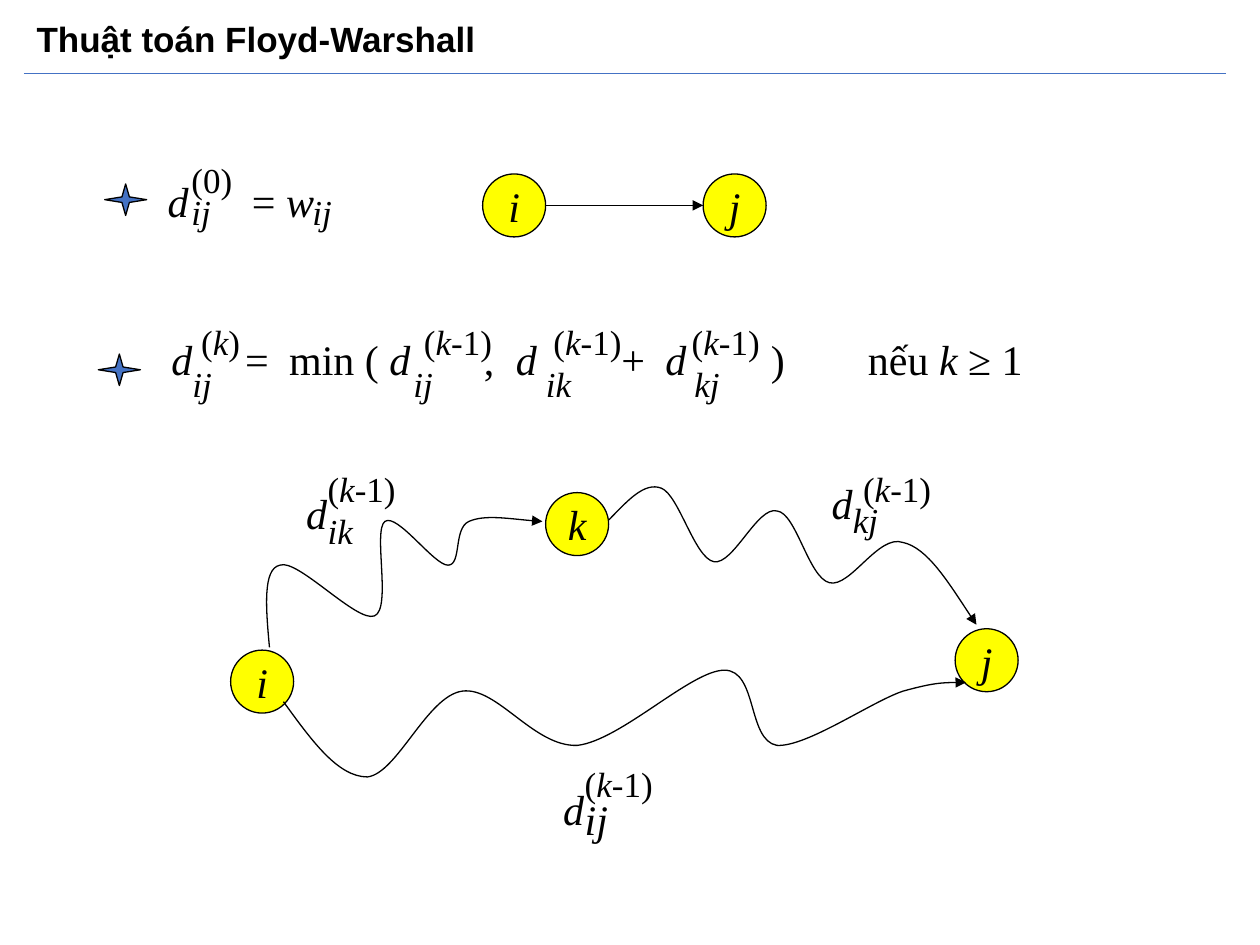
from pptx import Presentation
from pptx.dml.color import RGBColor
from pptx.enum.shapes import MSO_CONNECTOR, MSO_SHAPE
from pptx.enum.text import MSO_ANCHOR, PP_ALIGN
from pptx.oxml.ns import qn
from pptx.util import Pt
from lxml.etree import SubElement

BLACK = RGBColor(0x00, 0x00, 0x00)
YELLOW = RGBColor(0xFF, 0xFF, 0x00)
BLUE = RGBColor(0x44, 0x72, 0xC4)
SERIF = "Times New Roman"
BIG, SMALL = 24, 20
NODE = 36  # diameter

TITLE = "Thuật toán Floyd-Warshall"
POWER = "(*k*-1)"

# Letter, left, top
NODES = [("i", 275.8, 99.4), ("j", 401.8, 99.4),
         ("i", 131.8, 371.5), ("j", 545.8, 359.3), ("k", 311.8, 281.5)]
STARS = [(59.8, 105.1), (56.2, 202.3)]

# Size, top, [(left, text)]; *...* marks italics
FORMULA_ROWS = [
    (BIG, 100.1, [(95.8, "*d*"), (144, "= *w*")]),
    (SMALL, 90.7, [(109.4, "(0)")]),
    (SMALL, 108.7, [(109.4, "*ij*"), (178.5, "*ij*")]),
    (BIG, 190.8, [(98, "*d*"), (140, "="), (165.2, "min ("), (222.5, "*d*"),
                  (276.5, ","), (294.8, "*d*"), (355, "+"), (380.3, "*d*"),
                  (440.5, ")"), (496, "nếu *k* ≥ 1")]),
    (SMALL, 182.9, [(115, "(*k*)"), (242.3, POWER), (316.3, POWER), (395.3, POWER)]),
    (SMALL, 207.4, [(110, "*ij*"), (236.2, "*ij*"), (312, "*ik*"), (396.8, "*kj*")]),
]

# Subscript, its size, then left and top of the letter d, superscript, subscript
PATH_LABELS = [
    ("*ij*", BIG, (321.8, 447.8), (334.1, 435.6), (334.1, 453.6)),
    ("*ik*", SMALL, (175, 278.6), (187.2, 267.1), (187.2, 290.9)),
    ("*kj*", SMALL, (475.2, 272.9), (493.2, 267.1), (487.4, 285.1)),
]

# Start point, then two control points and an end point per Bézier segment
CURVES = [
    [(162, 401), (178, 423), (193, 444), (210, 444), (227, 442), (244, 398), (264, 395),
     (284, 392), (305, 427), (330, 426), (355, 423), (395, 383), (414, 383),
     (433, 383), (427, 423), (444, 426), (461, 427), (498, 401), (516, 395),
     (534, 390), (543, 390), (552, 390)],
    [(154, 370), (152, 348), (150, 325), (160, 323), (170, 319), (204, 356), (214, 352),
     (224, 348), (213, 303), (220, 298), (227, 293), (248, 323), (256, 323),
     (264, 323), (259, 302), (268, 298), (277, 294), (294, 297), (310, 298)],
    [(348, 297), (358, 287), (368, 275), (378, 279), (388, 283), (397, 319), (408, 321),
     (419, 323), (433, 289), (444, 292), (455, 293), (462, 330), (474, 333),
     (486, 336), (502, 305), (516, 310), (530, 313), (544, 336), (558, 357)],
]


def write(sp, text, size, name=SERIF, bold=False, align=PP_ALIGN.LEFT,
          anchor=MSO_ANCHOR.TOP):
    """Fill a shape with text in which *...* marks italics."""
    tf = sp.text_frame
    settings = dict(margin_left=0, margin_right=0, margin_top=0, margin_bottom=0,
                    word_wrap=False, vertical_anchor=anchor)
    for key, value in settings.items():
        setattr(tf, key, value)
    p = tf.paragraphs[0]
    p.alignment = align
    for n, part in enumerate(text.split("*")):
        if part:
            r = p.add_run()
            r.text = part
            font = dict(name=name, size=Pt(size), bold=bold, italic=n % 2 == 1)
            for key, value in font.items():
                setattr(r.font, key, value)
            r.font.color.rgb = BLACK


def add_text(s, left, top, text, size):
    width = len(text.replace("*", "")) * size * 0.5
    sp = s.shapes.add_textbox(Pt(left), Pt(top), Pt(width), Pt(size * 1.2))
    write(sp, text, size)


def add_preset(s, kind, left, top, width, height, fill):
    sp = s.shapes.add_shape(kind, Pt(left), Pt(top), Pt(width), Pt(height))
    sp.shadow.inherit = False
    sp.fill.solid()
    sp.fill.fore_color.rgb = fill
    set_line(sp)
    return sp


def set_line(sp, color=BLACK, width=0.75, arrow=False):
    sp.line.color.rgb = color
    sp.line.width = Pt(width)
    if arrow:
        SubElement(sp.line._get_or_add_ln(), qn("a:tailEnd"), type="triangle")


def add_line(s, x1, y1, x2, y2, **line):
    sp = s.shapes.add_connector(MSO_CONNECTOR.STRAIGHT, Pt(x1), Pt(y1), Pt(x2), Pt(y2))
    set_line(sp, **line)
    SubElement(sp._element.spPr, qn("a:effectLst"))


def add_curve(s, points):
    """Draw a freeform and turn each three of its segments into one Bézier."""
    start, *rest = [(Pt(x), Pt(y)) for x, y in points]
    builder = s.shapes.build_freeform(*start)
    builder.add_line_segments(rest, close=False)
    sp = builder.convert_to_shape()
    sp.shadow.inherit = False
    sp.fill.background()
    set_line(sp, arrow=True)
    outline = next(sp._element.iter(qn("a:path")))
    segments = outline.findall(qn("a:lnTo"))
    for n in range(0, len(segments), 3):
        bezier = SubElement(outline, qn("a:cubicBezTo"))
        for segment in segments[n:n + 3]:
            bezier.append(segment[0])
            outline.remove(segment)


def main():
    prs = Presentation()
    prs.slide_width, prs.slide_height = Pt(720), Pt(540)
    s = prs.slides.add_slide(prs.slide_layouts[6])

    title = s.shapes.add_textbox(Pt(20.9), Pt(5.8), Pt(672), Pt(36))
    write(title, TITLE, 20, name="Arial", bold=True, anchor=MSO_ANCHOR.MIDDLE)
    title.text_frame.paragraphs[0].line_spacing = 0.9
    add_line(s, 13.7, 41.8, 700.6, 41.8, color=BLUE, width=0.5)

    for letter, left, top in NODES:
        sp = add_preset(s, MSO_SHAPE.OVAL, left, top, NODE, NODE, YELLOW)
        write(sp, f"*{letter}*", BIG, align=PP_ALIGN.CENTER, anchor=MSO_ANCHOR.MIDDLE)
    (_, i_left, top), (_, j_left, _) = NODES[:2]
    middle = top + NODE / 2
    add_line(s, i_left + NODE, middle, j_left, middle, arrow=True)

    for left, top in STARS:
        sp = add_preset(s, MSO_SHAPE.STAR_4_POINT, left, top, 24, 18, BLUE)
        sp.adjustments[0] = 0.125
    for size, top, pieces in FORMULA_ROWS:
        for left, text in pieces:
            add_text(s, left, top, text, size)

    for points in CURVES:
        add_curve(s, points)
    for sub, sub_size, letter_at, power_at, sub_at in PATH_LABELS:
        add_text(s, *letter_at, "*d*", BIG)
        add_text(s, *power_at, POWER, SMALL)
        add_text(s, *sub_at, sub, sub_size)

    prs.save("out.pptx")


if __name__ == "__main__":
    main()
